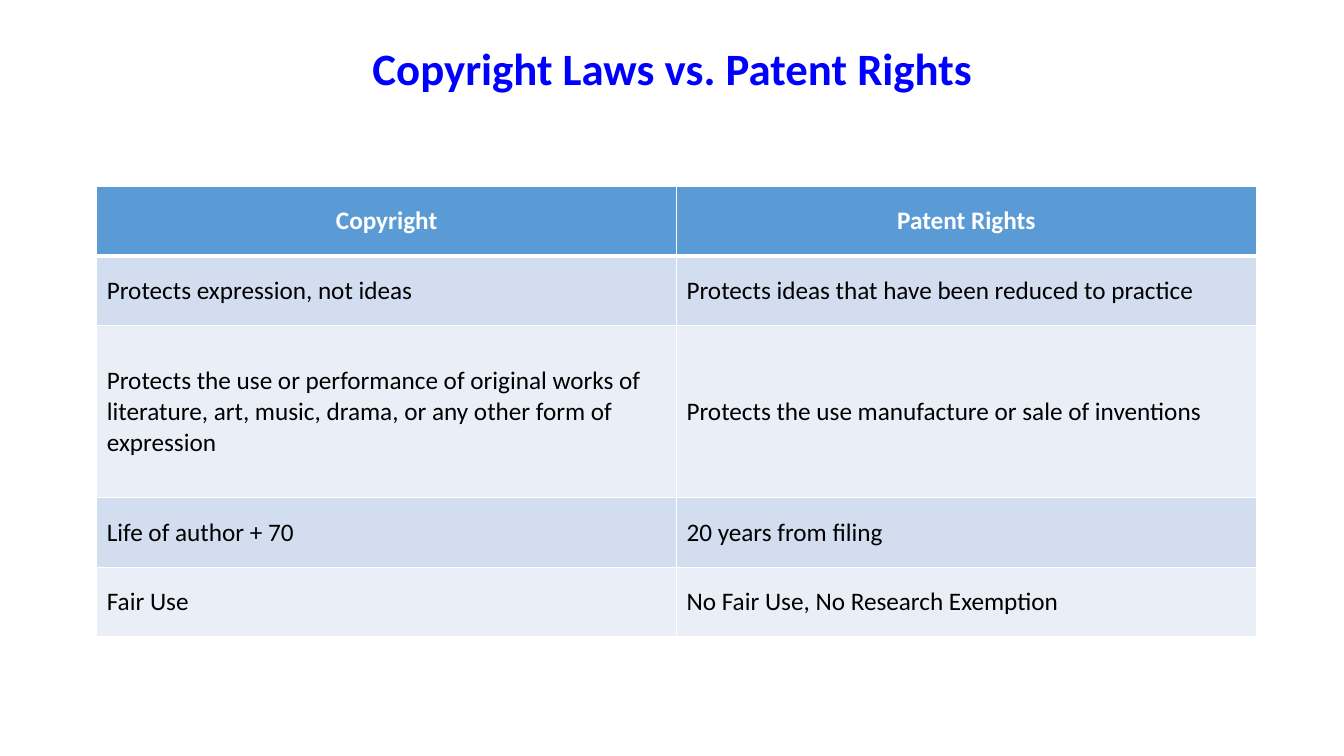
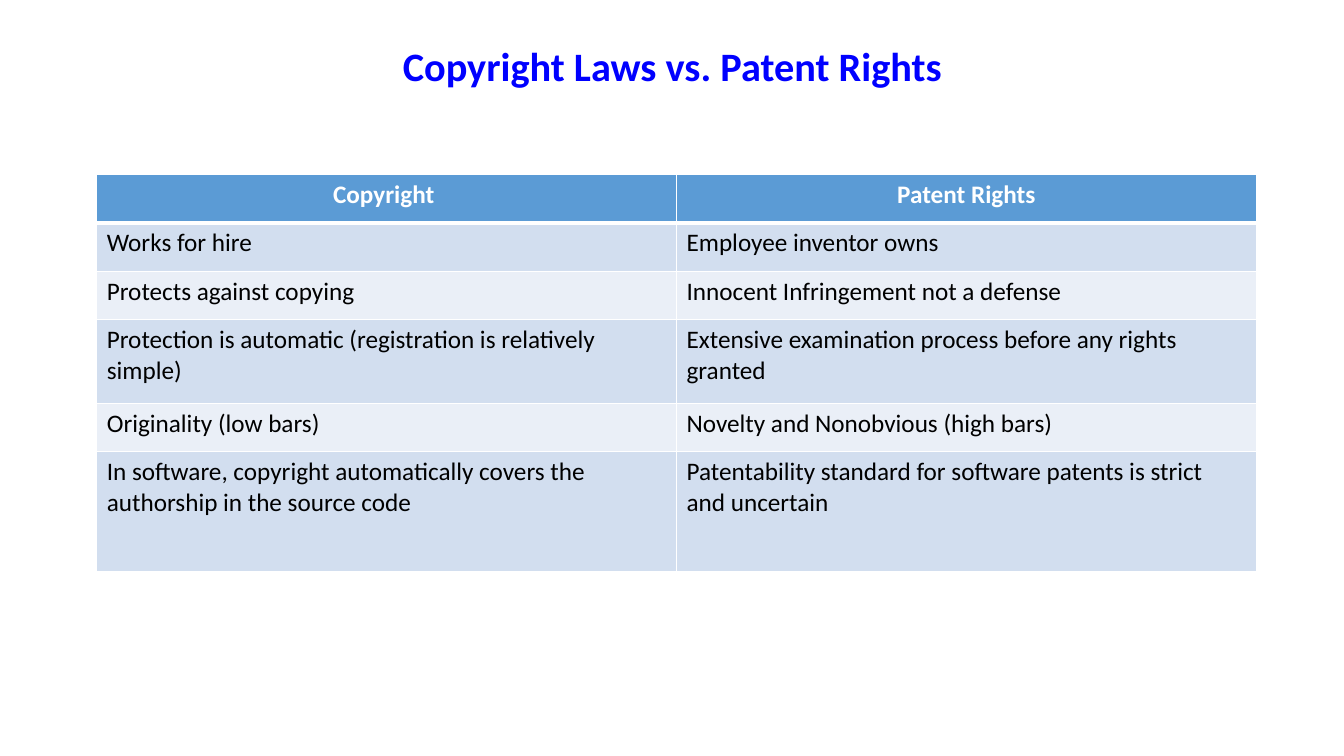
"""Build two slides comparing copyright laws with patent rights."""
import pptx
import pptx.util
import pptx.dml.color
import pptx.enum.text
import pptx.oxml
import pptx.oxml.ns

Inches, Pt = pptx.util.Inches, pptx.util.Pt
RGBColor = pptx.dml.color.RGBColor
PP_ALIGN, MSO_ANCHOR = pptx.enum.text.PP_ALIGN, pptx.enum.text.MSO_ANCHOR

COLORS = {
    "title": "0000FF",
    "header": "5B9BD5",
    "header_text": "FFFFFF",
    "text": "000000",
    "odd_row": "D2DEEF",
    "even_row": "EAEFF7",
    "border": "FFFFFF",
}
FONT = "Calibri"
TITLE = "Copyright Laws vs. Patent Rights"
LEFT, COLUMN_WIDTH = 0.96, 5.75
THIN, THICK = 1, 3

COMPARISONS = [
    {
        "title_size": 32, "title_height": 0.6, "top": 1.85, "anchor": MSO_ANCHOR.MIDDLE,
        "row_heights": [0.69, 0.69, 1.71, 0.69, 0.69],
        "rows": [
            ("Copyright", "Patent Rights"),
            ("Protects expression, not ideas",
             "Protects ideas that have been reduced to practice"),
            ("Protects the use or performance of original works of literature, art, "
             "music, drama, or any other form of expression",
             "Protects the use manufacture or sale of inventions"),
            ("Life of author + 70", "20 years from filing"),
            ("Fair Use", "No Fair Use, No Research Exemption"),
        ],
    },
    {
        "title_size": 28.8, "title_height": 0.56, "top": 1.73, "anchor": MSO_ANCHOR.TOP,
        "row_heights": [0.48, 0.48, 0.48, 0.83, 0.48, 1.19],
        "rows": [
            ("Copyright ", "Patent Rights"),
            ("Works for hire", "Employee inventor owns"),
            ("Protects against copying", "Innocent Infringement not a defense"),
            ("Protection is automatic (registration is relatively simple)",
             "Extensive examination process before any rights granted"),
            ("Originality (low bars)", "Novelty and Nonobvious (high bars)"),
            ("In software, copyright automatically covers the authorship in the source code",
             "Patentability standard for software patents is strict and uncertain"),
        ],
    },
]


def write(paragraph, text, size, color, bold, align):
    paragraph.text = text
    paragraph.alignment = align
    font = paragraph.runs[0].font
    for name, value in {"name": FONT, "size": Pt(size), "bold": bold}.items():
        setattr(font, name, value)
    font.color.rgb = RGBColor.from_string(COLORS[color])


def add_title(slide, size, height):
    frame = slide.shapes.add_textbox(
        Inches(0.92), Inches(0.4), Inches(11.5), Inches(height)).text_frame
    frame.word_wrap = True
    frame.vertical_anchor = MSO_ANCHOR.MIDDLE
    write(frame.paragraphs[0], TITLE, size, "title", True, PP_ALIGN.CENTER)
    frame.paragraphs[0].line_spacing = 0.9


def add_borders(cell, top, bottom):
    properties = cell._tc.get_or_add_tcPr()
    for side, width in {"L": THIN, "R": THIN, "T": top, "B": bottom}.items():
        properties.append(pptx.oxml.parse_xml(
            f'<a:ln{side} {pptx.oxml.ns.nsdecls("a")} w="{Pt(width)}"><a:solidFill>'
            f'<a:srgbClr val="{COLORS["border"]}"/></a:solidFill></a:ln{side}>'))


def add_comparison(slide, rows, row_heights, top, anchor):
    columns = len(rows[0])
    table = slide.shapes.add_table(
        len(rows), columns, Inches(LEFT), Inches(top),
        Inches(COLUMN_WIDTH * columns), Inches(sum(row_heights))).table
    for column in table.columns:
        column.width = Inches(COLUMN_WIDTH)
    for index, (texts, height) in enumerate(zip(rows, row_heights)):
        table.rows[index].height = Inches(height)
        header = index == 0
        band = "header" if header else "odd_row" if index % 2 else "even_row"
        color = "header_text" if header else "text"
        align = PP_ALIGN.CENTER if header else PP_ALIGN.LEFT
        for cell, text in zip(table.rows[index].cells, texts):
            add_borders(cell, THICK if index == 1 else THIN, THICK if header else THIN)
            cell.fill.solid()
            cell.fill.fore_color.rgb = RGBColor.from_string(COLORS[band])
            cell.vertical_anchor = anchor
            write(cell.text_frame.paragraphs[0], text, 18, color, header, align)


def main():
    deck = pptx.Presentation()
    deck.slide_width, deck.slide_height = Inches(13.33), Inches(7.5)
    for comparison in COMPARISONS:
        slide = deck.slides.add_slide(deck.slide_layouts[6])
        add_title(slide, comparison["title_size"], comparison["title_height"])
        add_comparison(slide, comparison["rows"], comparison["row_heights"],
                       comparison["top"], comparison["anchor"])
    deck.save("out.pptx")


if __name__ == "__main__":
    main()
